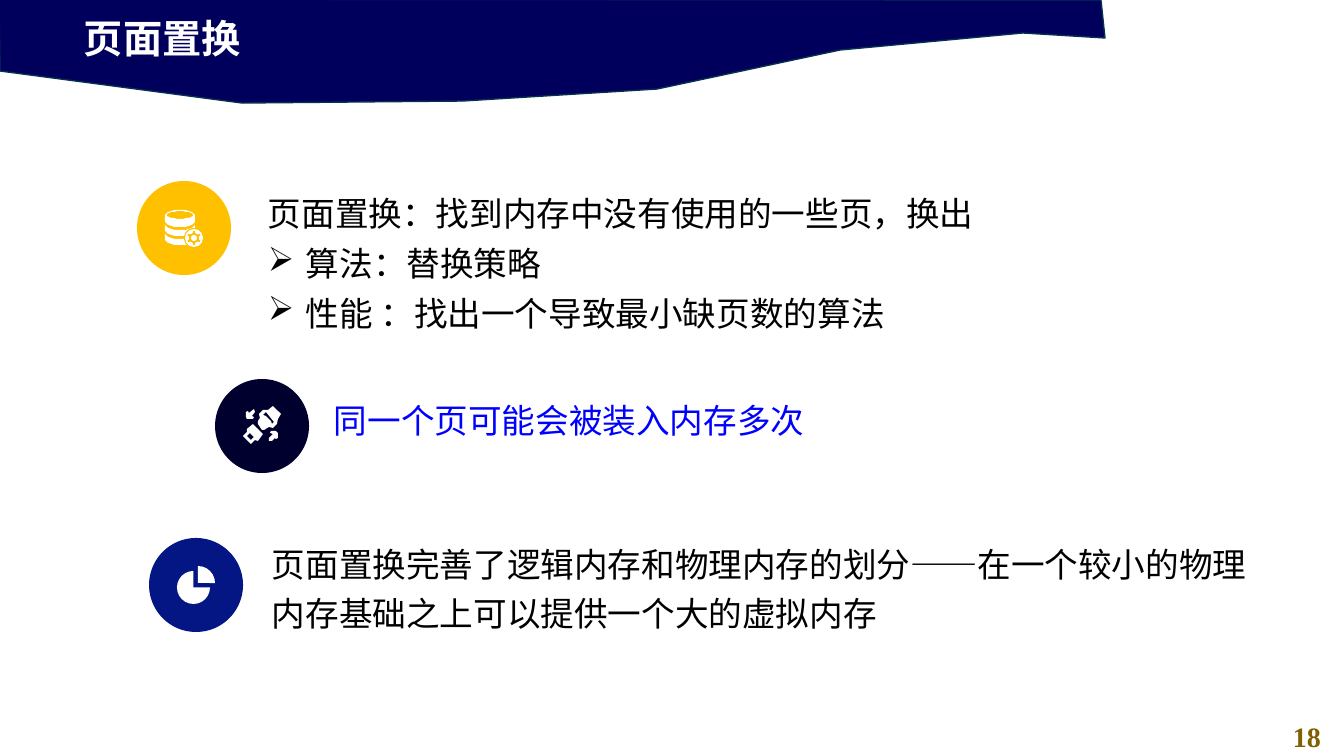
"""Build the page replacement slide with three icon-marked points."""
from math import cos, pi, sin

from lxml.etree import SubElement
from pptx import Presentation
from pptx.dml.color import RGBColor
from pptx.enum.shapes import MSO_SHAPE
from pptx.enum.text import MSO_ANCHOR, PP_ALIGN
from pptx.oxml.ns import qn
from pptx.util import Emu, Pt

COLORS = {
    "banner": "00005C", "banner_edge": "05304F", "white": "FFFFFF",
    "black": "000000", "blue": "0000FF", "amber": "FFC000",
    "midnight": "00002E", "royal": "031684", "gold": "806000",
}
FONT = "Times New Roman"
BULLET = "➢"
BULLET_INDENT = 38
CIRCLE_SIZE = 94

BANNER = [(-1, -1), (0, 71), (242, 103), (463, 101), (657, 89), (840, 50),
          (1023, 33), (1105, 38), (1101, 0)]

CIRCLES = [(137, 181, "amber"), (215, 379, "midnight"), (149, 538, "royal")]

TITLE = {"box": (74, 9, 774, 57), "lines": ["页面置换"],
         "size": 28, "color": "white", "bold": True}
PAGE_NUMBER = {"box": (1270, 715, 74, 44), "lines": ["18"], "size": 20,
               "color": "gold", "bold": True, "align": PP_ALIGN.CENTER}
POINTS = [
    {"box": (258, 167, 888, 183), "spacing": 1.23, "bulleted_from": 1,
     "lines": ["页面置换：找到内存中没有使用的一些页，换出",
               "算法：替换策略",
               "性能 ：找出一个导致最小缺页数的算法"]},
    {"box": (324, 355, 718, 118), "spacing": 1.32, "color": "blue",
     "lines": ["同一个页可能会被装入内存多次"]},
    {"box": (262, 514, 1010, 140), "spacing": 1.23,
     "lines": ["页面置换完善了逻辑内存和物理内存的划分——"
               "在一个较小的物理内存基础之上可以提供一个大的虚拟内存"]},
]

BUCKLE = [
    [(253, 424), (263, 434), (258, 441), (255, 440), (251, 444), (243, 436),
     (247, 432), (247, 429)],
    [(250, 433), (247, 436), (251, 440), (254, 437)],
    [(273, 406), (281, 414), (278, 419), (277, 424), (273, 428), (269, 427),
     (264, 430), (262, 430), (258, 424), (258, 421), (260, 418), (259, 414),
     (263, 410), (268, 410)],
    [(266, 412), (263, 415), (266, 416), (271, 421), (272, 424), (274, 422)],
    [(254, 409), (255, 412), (252, 416), (254, 417), (253, 419), (247, 419),
     (246, 417), (246, 412), (248, 411), (249, 413)],
    [(271, 431), (276, 431), (278, 433), (278, 438), (276, 439), (275, 438),
     (272, 441), (269, 441), (269, 438), (273, 434), (270, 433)],
]

DATABASE_CENTER = 180
DATABASE_RADII = (15, 6)
DATABASE_BANDS = [(224, 230), (233, 239)]
GEAR_CENTER = (194, 238)
GEAR_LAYERS = [(MSO_SHAPE.OVAL, 10, "amber"), (MSO_SHAPE.OVAL, 9, "white"),
               (MSO_SHAPE.GEAR_6, 7, "amber"), (MSO_SHAPE.OVAL, 3, "white")]

PIE_SLICES = [((177, 571, 33, 33), 0, 270), ((181, 566, 34, 34), 270, 0)]


def px(length):
    return Emu(round(length * 914400 / 100.8))


def rgb(name):
    return RGBColor.from_string(COLORS[name])


def paint(shape, fill, edge=None):
    shape.shadow.inherit = False
    shape.fill.solid()
    shape.fill.fore_color.rgb = rgb(fill)
    if edge:
        shape.line.color.rgb = rgb(edge)
        shape.line.width = Pt(1)
    else:
        shape.line.fill.background()


def add_preset(slide, kind, box, fill):
    shape = slide.shapes.add_shape(kind, *map(px, box))
    paint(shape, fill)
    return shape


def add_outline(slide, contours, fill, edge=None):
    scale = 914400 / 100.8
    builder = slide.shapes.build_freeform(*contours[0][0], scale=scale)
    for index, contour in enumerate(contours):
        if index:
            builder.move_to(*contour[0])
        builder.add_line_segments(contour[1:], close=True)
    paint(builder.convert_to_shape(), fill, edge)


def arc(center_y, radii, start, end, steps=24):
    angles = [start + (end - start) * step / steps for step in range(steps + 1)]
    return [(DATABASE_CENTER + radii[0] * cos(angle),
             center_y + radii[1] * sin(angle)) for angle in angles]


def add_database(slide):
    lid = arc(216, DATABASE_RADII, pi, 2 * pi) + arc(221, DATABASE_RADII, 0, pi)
    opening = arc(215, (13, 4), 0, 2 * pi)
    add_outline(slide, [lid, opening], "white")
    for top, bottom in DATABASE_BANDS:
        band = arc(top, DATABASE_RADII, pi, 0) + arc(bottom, DATABASE_RADII, 0, pi)
        add_outline(slide, [band], "white")
    x, y = GEAR_CENTER
    for kind, radius, fill in GEAR_LAYERS:
        add_preset(slide, kind, (x - radius, y - radius, 2 * radius, 2 * radius), fill)


def add_pie(slide):
    for box, start, end in PIE_SLICES:
        piece = add_preset(slide, MSO_SHAPE.PIE, box, "white")
        piece.adjustments[0] = start * 0.6
        piece.adjustments[1] = end * 0.6


def add_bullet(paragraph):
    properties = paragraph._p.get_or_add_pPr()
    properties.set("marL", str(px(BULLET_INDENT)))
    properties.set("indent", str(-px(BULLET_INDENT)))
    SubElement(properties, qn("a:buChar")).set("char", BULLET)


def add_text(slide, box, lines, size=24, color="black", bold=False,
             align=None, spacing=None, bulleted_from=None):
    frame = slide.shapes.add_textbox(*map(px, box)).text_frame
    frame.word_wrap = True
    frame.vertical_anchor = MSO_ANCHOR.MIDDLE if spacing else MSO_ANCHOR.TOP
    frame.text = "\n".join(lines)
    for index, paragraph in enumerate(frame.paragraphs):
        if bulleted_from is not None and index >= bulleted_from:
            add_bullet(paragraph)
        paragraph.alignment = align
        paragraph.line_spacing = spacing
        paragraph.font.name = FONT
        paragraph.font.size = Pt(size)
        paragraph.font.bold = bold
        paragraph.font.color.rgb = rgb(color)


def main():
    presentation = Presentation()
    presentation.slide_width, presentation.slide_height = px(1344), px(756)
    slide = presentation.slides.add_slide(presentation.slide_layouts[6])
    add_outline(slide, [BANNER], "banner", "banner_edge")
    add_text(slide, **PAGE_NUMBER)
    add_text(slide, **TITLE)
    for left, top, fill in CIRCLES:
        add_preset(slide, MSO_SHAPE.OVAL, (left, top, CIRCLE_SIZE, CIRCLE_SIZE), fill)
    add_outline(slide, BUCKLE, "white")
    add_pie(slide)
    add_database(slide)
    for point in POINTS:
        add_text(slide, **point)
    presentation.save("out.pptx")


if __name__ == "__main__":
    main()
